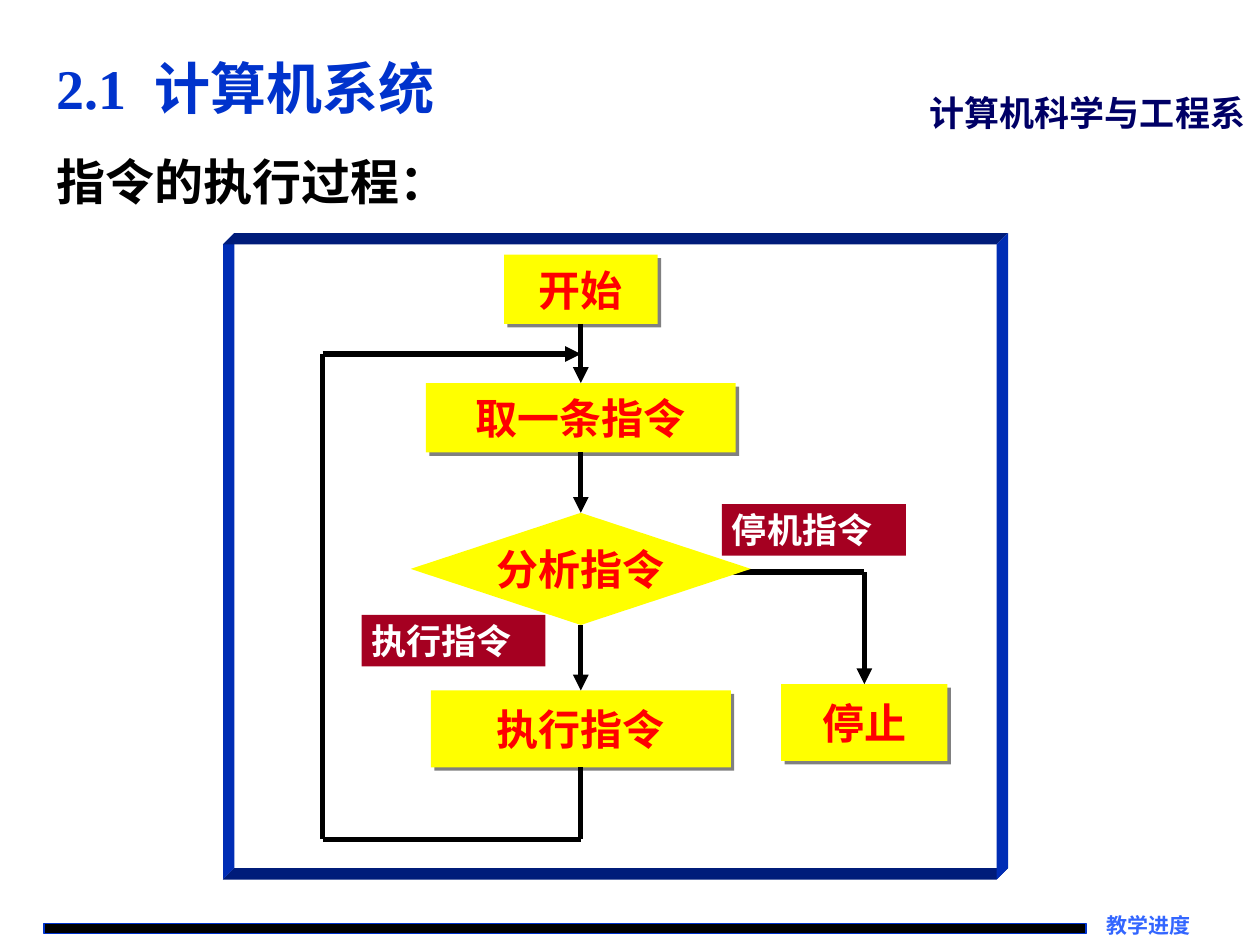
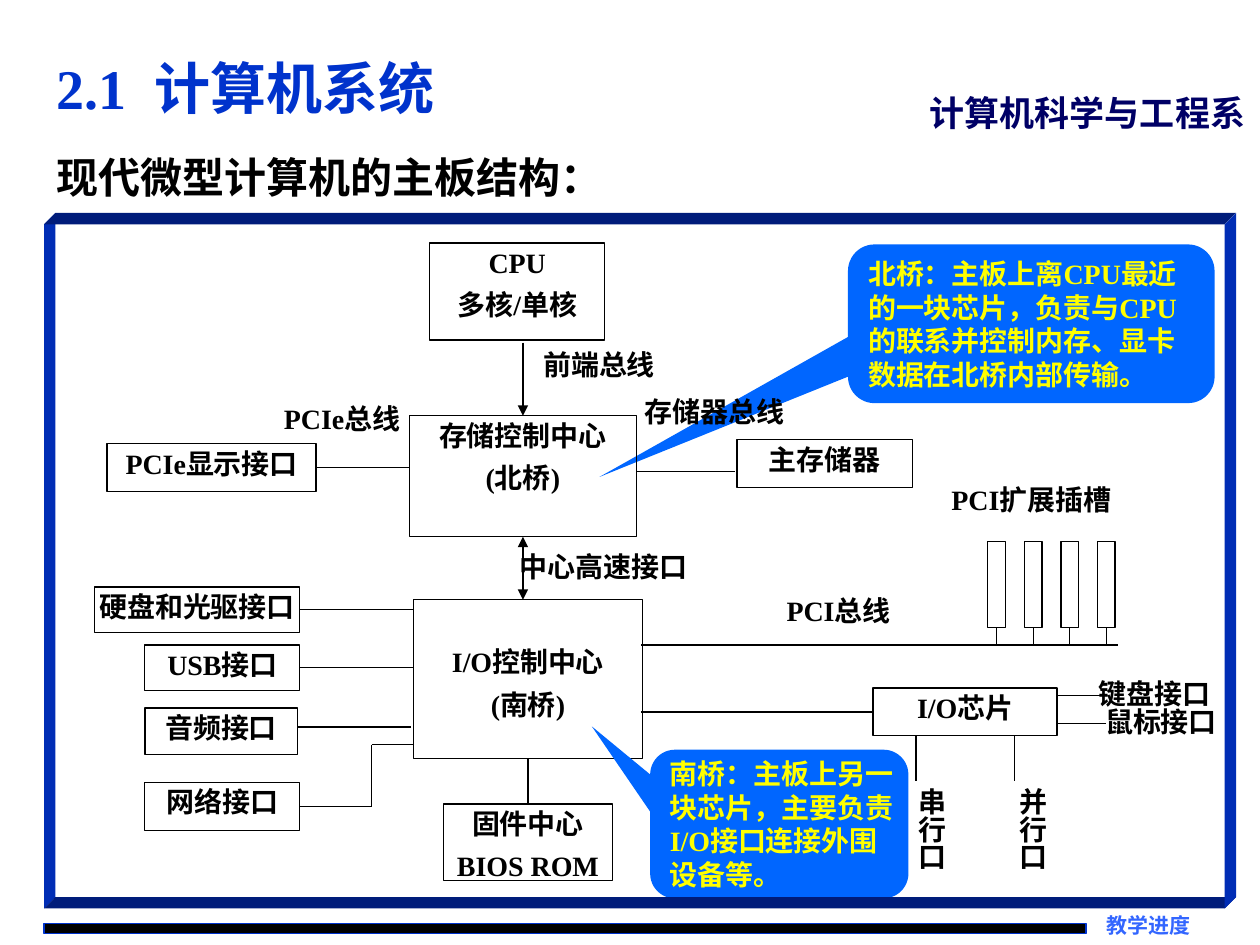
from lxml.etree import SubElement
from pptx import Presentation
from pptx.dml.color import RGBColor
from pptx.enum.shapes import MSO_CONNECTOR, MSO_SHAPE
from pptx.enum.text import MSO_ANCHOR, MSO_AUTO_SIZE, PP_ALIGN
from pptx.oxml.ns import qn
from pptx.util import Pt

PX = 9144  # 100 px to the inch
LATIN = "Times New Roman"
HAN = "Noto Sans CJK SC"

BLACK = RGBColor(0x00, 0x00, 0x00)
WHITE = RGBColor(0xFF, 0xFF, 0xFF)
BLUE = RGBColor(0x00, 0x33, 0xCC)
NAVY = RGBColor(0x00, 0x00, 0x66)
SKY = RGBColor(0x33, 0x66, 0xFF)
AZURE = RGBColor(0x00, 0x66, 0xFF)
YELLOW = RGBColor(0xFF, 0xFF, 0x00)
RED = RGBColor(0xFF, 0x00, 0x00)
WINE = RGBColor(0xA5, 0x00, 0x21)
DARK = RGBColor(0x00, 0x1C, 0x7A)
SIDE = RGBColor(0x00, 0x2D, 0xB5)

# Text formats
TITLE = {"name": LATIN, "size": Pt(32), "color": BLUE}
DEPT = {"name": LATIN, "size": Pt(20), "color": NAVY}
FOOT = {"name": LATIN, "size": Pt(12), "color": SKY}
HEAD = {"name": HAN, "size": Pt(28), "color": BLACK}
SUB = {"name": LATIN, "size": Pt(24), "color": BLACK}
STEP = {"name": HAN, "size": Pt(24), "color": RED}
TAG = {"name": HAN, "size": Pt(20), "color": WHITE}
PART = {"name": LATIN, "size": Pt(16), "color": BLACK}
NOTE = {"name": LATIN, "size": Pt(16), "color": YELLOW}


def style(run, form):
    """Apply a text format to one run."""
    run.font.bold = True
    for key, value in form.items():
        if key == "color":
            run.font.color.rgb = value
        else:
            setattr(run.font, key, value)
    SubElement(run._r.get_or_add_rPr(), qn("a:ea"), typeface=HAN)


def write(shape, lines, form, align=PP_ALIGN.CENTER, inset=(2, 2, 2, 2),
          anchor=MSO_ANCHOR.TOP, wrap=True, gap=5):
    """Fill a shape with one paragraph for each line."""
    frame = shape.text_frame
    settings = {"word_wrap": wrap, "vertical_anchor": anchor,
                "auto_size": MSO_AUTO_SIZE.NONE}
    sides = ("left", "top", "right", "bottom")
    settings.update({f"margin_{s}": n * PX for s, n in zip(sides, inset)})
    for key, value in settings.items():
        setattr(frame, key, value)
    for i, line in enumerate(lines):
        para = frame.paragraphs[0] if i == 0 else frame.add_paragraph()
        para.alignment = align
        para.space_before = Pt(gap if i else 0)
        run = para.add_run()
        run.text = line
        style(run, form)


class Area:
    """A region of a slide; all parts are placed from its top left corner."""

    def __init__(self, slide, left=0, top=0):
        self.shapes = slide.shapes
        self.left, self.top = left, top

    def spot(self, x, y):
        return (self.left + x) * PX, (self.top + y) * PX

    def shape(self, box, kind=MSO_SHAPE.RECTANGLE, fill=None, line=None):
        x, y, w, h = box
        item = self.shapes.add_shape(kind, *self.spot(x, y), w * PX, h * PX)
        item.shadow.inherit = False
        if fill is None:
            item.fill.background()
        else:
            item.fill.solid()
            item.fill.fore_color.rgb = fill
        if line is None:
            item.line.fill.background()
        else:
            item.line.color.rgb = line
            item.line.width = Pt(0.75)
        return item

    def text(self, box, lines, form, **opts):
        x, y, w, h = box
        item = self.shapes.add_textbox(*self.spot(x, y), w * PX, h * PX)
        write(item, lines, form, **opts)
        return item

    def link(self, start, end, width=0.75, head=False, tail=False):
        """Draw a line; each end is a point or a (shape, site) pair."""
        ends = [(0, 0) if not isinstance(p[0], int) else self.spot(*p)
                for p in (start, end)]
        line = self.shapes.add_connector(MSO_CONNECTOR.STRAIGHT, *ends[0], *ends[1])
        for point, join in ((start, line.begin_connect), (end, line.end_connect)):
            if not isinstance(point[0], int):
                join(*point)
        line.line.color.rgb = BLACK
        line.line.width = Pt(width)
        for on, name in ((head, "a:headEnd"), (tail, "a:tailEnd")):
            if on:
                SubElement(line.line._get_or_add_ln(), qn(name), type="triangle")
        SubElement(line._element.spPr, qn("a:effectLst"))

    def frame(self, w, h, d=9):
        """Draw an open box whose four faces lean up and right by d."""
        faces = [
            (SIDE, [(0, 0), (d, -d), (d, h - d), (0, h)]),
            (DARK, [(0, 0), (d, -d), (w + d, -d), (w, 0)]),
            (DARK, [(0, h), (d, h - d), (w + d, h - d), (w, h)]),
            (SIDE, [(w, 0), (w + d, -d), (w + d, h - d), (w, h)]),
        ]
        for color, dots in faces:
            dots = [(self.left + x, self.top + y) for x, y in dots]
            path = self.shapes.build_freeform(*dots[0], scale=PX)
            path.add_line_segments(dots[1:], close=True)
            face = path.convert_to_shape()
            face.shadow.inherit = False
            face.fill.solid()
            face.fill.fore_color.rgb = color
            face.line.fill.background()


def place(item, box):
    for key, value in zip(("left", "top", "width", "height"), box):
        setattr(item, key, value * PX)


def base(deck, topic, box, form, space=1.0):
    """Add a slide with the shared bar, labels, title and a topic line."""
    slide = deck.slides.add_slide(deck.slide_layouts[1])
    page = Area(slide)
    page.shape((35, 733, 827, 8), fill=BLACK, line=BLUE)
    page.text((862, 724, 83, 21), ["教学进度"], FOOT, align=PP_ALIGN.RIGHT,
              inset=(0, 0, 0, 0), wrap=False)
    page.text((728, 68, 272, 43), ["计算机科学与工程系"], DEPT,
              align=PP_ALIGN.LEFT, inset=(10, 5, 10, 5), wrap=False)

    # Title, with a wide space after the number
    title = slide.shapes.title
    place(title, (35, 36, 708, 67))
    write(title, ["2.1"], TITLE, align=PP_ALIGN.LEFT, inset=(10, 5, 10, 5),
          anchor=MSO_ANCHOR.MIDDLE)
    for word in (" ", "计算机系统"):
        run = title.text_frame.paragraphs[0].add_run()
        run.text = word
        style(run, TITLE)
        if word == " ":
            run._r.get_or_add_rPr().set("spc", "800")

    # Topic line without a bullet
    body = slide.placeholders[1]
    place(body, box)
    para = body.text_frame.paragraphs[0]
    props = para._p.get_or_add_pPr()
    props.set("marL", "0")
    props.set("indent", "0")
    SubElement(props, qn("a:buNone"))
    write(body, [topic], form, align=PP_ALIGN.LEFT, inset=(10, 5, 10, 5))
    para.line_spacing = space
    return slide


def shade(item):
    """Give a shape a hard grey shadow."""
    effects = item._element.spPr.find(qn("a:effectLst"))
    drop = SubElement(effects, qn("a:outerShdw"), dist="35560", dir="2700000",
                      algn="ctr", rotWithShape="0")
    SubElement(drop, qn("a:srgbClr"), val="808080")


def flow(slide, left, top):
    """Flow chart of how an instruction is run."""
    area = Area(slide, left, top)
    axis, side, low, back = 284, 79, 472, 87
    area.link((404, 260), (509, 260), 3)

    # Steps
    def step(x, y, w, h, word, kind=MSO_SHAPE.RECTANGLE):
        item = area.shape((x - w // 2, y, w, h), kind, YELLOW)
        write(item, [word], STEP, inset=(2, 1, 2, 1),
              anchor=MSO_ANCHOR.MIDDLE, wrap=False)
        if kind == MSO_SHAPE.RECTANGLE:
            shade(item)
        return item

    start = step(axis, 8, 122, 55, "开始")
    fetch = step(axis, 110, 246, 55, "取一条指令")
    test = step(axis, 213, 270, 89, "分析指令", MSO_SHAPE.DIAMOND)
    run = step(axis, 354, 238, 61, "执行指令")
    stop = step(509, 349, 132, 61, "停止")

    # Arrows down and the way back
    for one, two in ((start, fetch), (fetch, test), (test, run)):
        area.link((one, 2), (two, 0), 3, tail=True)
    area.link((509, 260), (stop, 0), 3, tail=True)
    area.link((run, 2), (axis, low), 3)
    area.link((axis, low), (side, low), 3)
    area.link((side, low), (side, back), 3)
    area.link((side, back), (axis, back), 3, tail=True)

    # Branch tags
    for x, y, word in ((396, 206, "停机指令"), (110, 294, "执行指令")):
        tag = area.shape((x, y, 146, 41), fill=WINE)
        write(tag, [word], TAG, align=PP_ALIGN.LEFT, inset=(8, 1, 2, 1),
              anchor=MSO_ANCHOR.MIDDLE)
    area.frame(614, 504)


def board(slide, left, top):
    """Block diagram of a mainboard."""
    area = Area(slide, left, top)

    def note(box, tip, lines):
        item = area.shape(box, MSO_SHAPE.ROUNDED_RECTANGULAR_CALLOUT, AZURE)
        for i, value in enumerate((*tip, 0.167)):
            item.adjustments[i] = value
        write(item, lines, NOTE, align=PP_ALIGN.LEFT, inset=(10, 5, 10, 5),
              anchor=MSO_ANCHOR.MIDDLE, wrap=False, gap=0)

    def part(x, y, w, h, *lines, **opts):
        item = area.shape((x, y, w, h), line=BLACK)
        write(item, lines, PART, **opts)
        return item

    note((638, 16, 291, 126), (-1.178, 0.965),
         ["北桥：主板上离CPU最近", "的一块芯片，负责与CPU",
          "的联系并控制内存、显卡", "数据在北桥内部传输。"])

    # Chips and ports
    part(306, 15, 139, 77, "CPU", "多核/单核")
    north = part(290, 152, 180, 96, "存储控制中心", "(北桥)")
    south = part(293, 298, 182, 126, "I/O控制中心", "(南桥)",
                 anchor=MSO_ANCHOR.MIDDLE, inset=(2, 8, 2, 2))
    firm = part(317, 460, 134, 61, "固件中心", "BIOS ROM")
    disk = part(40, 288, 163, 36, "硬盘和光驱接口")
    usb = part(80, 334, 123, 36, "USB接口")
    part(80, 384, 121, 37, "音频接口")
    net = part(80, 443, 123, 38, "网络接口")
    chip = part(658, 368, 146, 38, "I/O芯片")
    show = part(50, 174, 166, 38, "PCIe显示接口")
    part(550, 171, 139, 38, "主存储器")

    # Links between chips
    area.link((380, 94), (north, 0), tail=True)
    area.link((north, 2), (380, 298), head=True, tail=True)
    area.link((south, 2), (firm, 0))
    area.link((show, 3), (290, 193))
    area.link((470, 196), (548, 196))
    area.link((474, 387), (chip, 1))

    # Links to the ports
    area.link((disk, 3), (293, 306))
    area.link((usb, 3), (293, 352))
    area.link((201, 399), (291, 399))
    area.link((net, 3), (260, 462))
    area.link((260, 462), (260, 413))
    area.link((260, 413), (293, 413))
    for y in (374, 396):
        area.link((805, y), (843, y))
    for x in (692, 770):
        area.link((x, 406), (x, 442))

    # Bus with four slots
    area.link((474, 334), (852, 334), 1.5)
    for i in range(4):
        x = 749 + 29 * i
        slot = area.shape((x, 252, 14, 68), line=BLACK)
        area.link((slot, 2), (x + 7, 334))

    # Labels
    for x, y, w, word in ((374, 96, 133, "前端总线"), (357, 256, 174, "中心高速接口"),
                          (714, 203, 139, "PCI扩展插槽"), (575, 291, 111, "PCI总线"),
                          (449, 133, 166, "存储器总线"), (167, 139, 139, "PCIe总线"),
                          (833, 357, 97, "键盘接口"), (838, 379, 97, "鼠标接口")):
        area.text((x, y, w, 37), [word], PART)
    for x, word in ((671, "串行口"), (751, "并行口")):
        item = area.text((x, 444, 53, 83), [word], PART,
                         align=PP_ALIGN.LEFT, inset=(6, 3, 6, 3))
        item.text_frame._txBody.bodyPr.set("vert", "eaVert")

    note((481, 417, 205, 118), (-0.726, -0.657),
         ["南桥：主板上另一", "块芯片，主要负责", "I/O接口连接外围", "设备等。"])
    area.frame(937, 543)


def main():
    deck = Presentation()
    deck.slide_width, deck.slide_height = 1000 * PX, 750 * PX
    flow(base(deck, "指令的执行过程：", (35, 115, 441, 71), HEAD), 177, 194)
    board(base(deck, "现代微型计算机的主板结构：", (35, 123, 543, 63), SUB, 0.8), 35, 178)
    deck.save("out.pptx")


if __name__ == "__main__":
    main()
